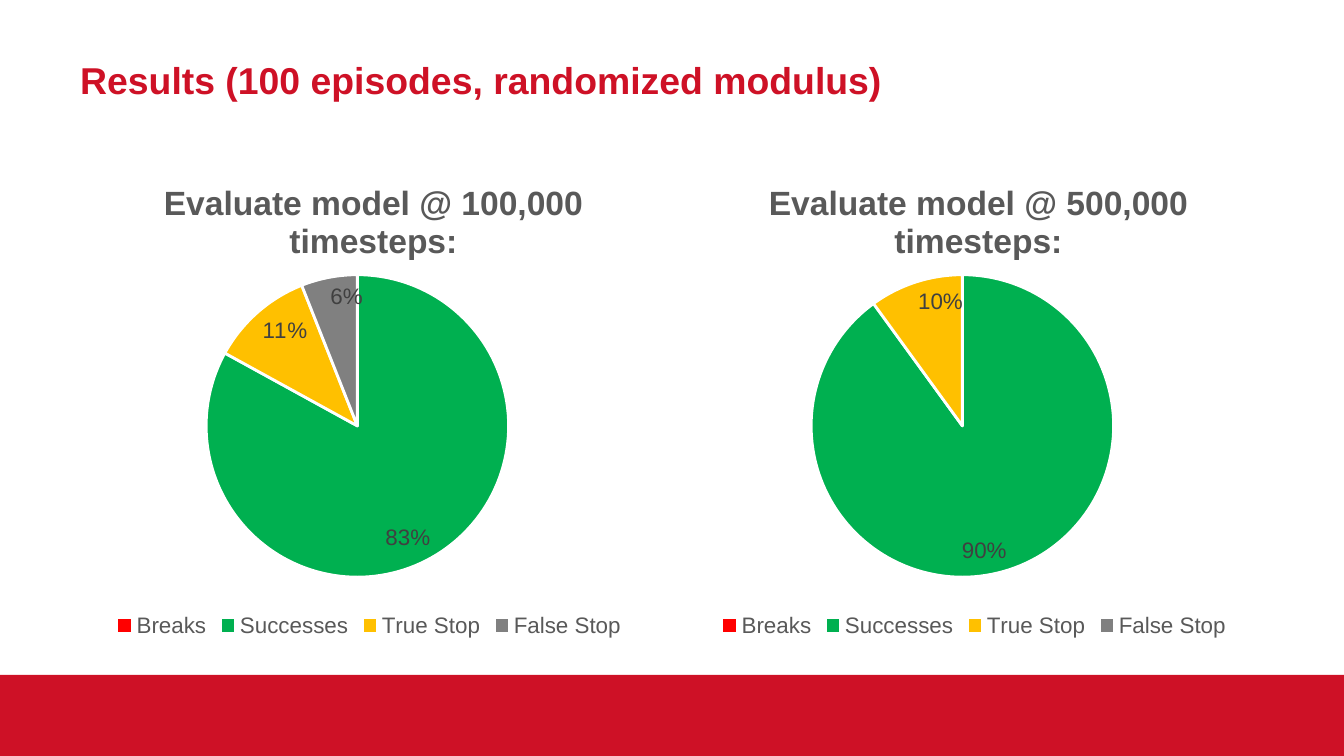
from lxml import etree
from pptx import Presentation
from pptx.chart.data import CategoryChartData
from pptx.dml.color import RGBColor
from pptx.enum.chart import XL_CHART_TYPE as ChartType
from pptx.enum.chart import XL_LABEL_POSITION as LabelPos
from pptx.enum.chart import XL_LEGEND_POSITION as LegendPos
from pptx.enum.shapes import MSO_SHAPE as Preset
from pptx.enum.text import MSO_ANCHOR as Anchor
from pptx.oxml.ns import qn
from pptx.util import Pt

SCALE = 914400 / 134.4  # EMU in one px
FONT = "Arial"
RED = RGBColor(0xCE, 0x11, 0x26)
WHITE = RGBColor(0xFF, 0xFF, 0xFF)
BLACK = RGBColor(0, 0, 0)
GRAY = RGBColor(0x59, 0x59, 0x59)
LABEL_GRAY = RGBColor(0x40, 0x40, 0x40)

OUTCOMES = {
    "Breaks": RGBColor(0xFF, 0, 0),
    "Successes": RGBColor(0, 0xB0, 0x50),
    "True Stop": RGBColor(0xFF, 0xC0, 0),
    "False Stop": RGBColor(0x80, 0x80, 0x80),
}
RESULTS = {
    "100,000": (0, 83, 11, 6),
    "500,000": (0, 90, 10, 0),
}
CHART_LEFT, CHART_TOP, CHART_WIDTH, CHART_HEIGHT = 67, 150, 605, 493


def px(length):
    return round(length * SCALE)


def box(*lengths):
    return [px(length) for length in lengths]


def set_font(font, size, color, bold=False):
    font.name = FONT
    font.size = Pt(size)
    font.bold = bold
    font.color.rgb = color


def add_text(slide, text, at, *, size, color, bold=False, anchor=Anchor.MIDDLE):
    frame = slide.shapes.add_textbox(*box(*at)).text_frame
    frame.word_wrap = True
    frame.vertical_anchor = anchor
    run = frame.paragraphs[0].add_run()
    run.text = text
    set_font(run.font, size, color, bold)


def add_band(slide, at, color):
    band = slide.shapes.add_shape(Preset.RECTANGLE, *box(*at))
    band.shadow.inherit = False
    band.fill.solid()
    band.fill.fore_color.rgb = color
    band.line.fill.background()


def add_child(parent, tag, value):
    etree.SubElement(parent, qn(tag)).set("val", str(value))


def set_layout(parent, index, **settings):
    """Give a chart part a manual layout, as fractions of the chart."""
    for old in parent.findall(qn("c:layout")):
        parent.remove(old)
    layout = etree.Element(qn("c:layout"))
    manual = etree.SubElement(layout, qn("c:manualLayout"))
    for name, value in settings.items():
        add_child(manual, f"c:{name}", value)
    parent.insert(index, layout)


def hide_label(labels, index, position):
    label = etree.Element(qn("c:dLbl"))
    add_child(label, "c:idx", index)
    add_child(label, "c:delete", 1)
    labels.insert(position, label)


def add_pie(slide, title, values, at):
    data = CategoryChartData()
    data.categories = list(OUTCOMES)
    data.add_series("Series 1", values)
    chart = slide.shapes.add_chart(ChartType.PIE, *box(*at), data).chart
    set_font(chart.font, 10, BLACK)

    # Title
    chart.has_title = True
    heading = chart.chart_title.text_frame
    heading.text = title
    set_font(heading.paragraphs[0].runs[0].font, 18, GRAY, bold=True)
    chart.chart_title.include_in_layout = False

    # Legend
    chart.has_legend = True
    chart.legend.position = LegendPos.BOTTOM
    chart.legend.include_in_layout = False
    set_font(chart.legend.font, 12, GRAY)

    # Slices
    plot = chart.plots[0]
    plot.vary_by_categories = True
    series = plot.series[0]
    for index, color in enumerate(OUTCOMES.values()):
        look = series.points[index].format
        look.fill.solid()
        look.fill.fore_color.rgb = color
        look.line.color.rgb = WHITE
        look.line.width = Pt(1.5)

    # Percentages, none on empty slices
    labels = series.data_labels
    labels.show_percentage = True
    labels.show_value = False
    labels.number_format = "0%"
    labels.number_format_is_linked = False
    labels.position = LabelPos.INSIDE_END
    set_font(labels.font, 12, LABEL_GRAY)
    empty = [index for index, value in enumerate(values) if value == 0]
    for position, index in enumerate(empty):
        hide_label(labels._element, index, position)

    # Places of the title and the pie
    root = chart._chartSpace.find(qn("c:chart"))
    set_layout(root.find(qn("c:title")), 1,
               xMode="edge", yMode="edge", x=0.15, y=0.05)
    set_layout(root.find(qn("c:plotArea")), 0, layoutTarget="inner",
               xMode="edge", yMode="edge", x=0.23, y=0.25, w=0.5, h=0.62)


def main():
    deck = Presentation()
    deck.slide_width, deck.slide_height = box(1344, 756)
    slide = deck.slides.add_slide(deck.slide_layouts[6])

    # Footer band and heading
    add_band(slide, (0, 675, 1344, 83), RED)
    add_text(slide, "Results (100 episodes, randomized modulus)",
             (67, 17, 1210, 126), size=20, color=RED, bold=True)

    # One pie for each training length
    for column, (steps, values) in enumerate(RESULTS.items()):
        left = CHART_LEFT + column * CHART_WIDTH
        add_pie(slide, f"Evaluate model @ {steps} timesteps:", values,
                (left, CHART_TOP, CHART_WIDTH, CHART_HEIGHT))

    deck.save("out.pptx")


if __name__ == "__main__":
    main()
